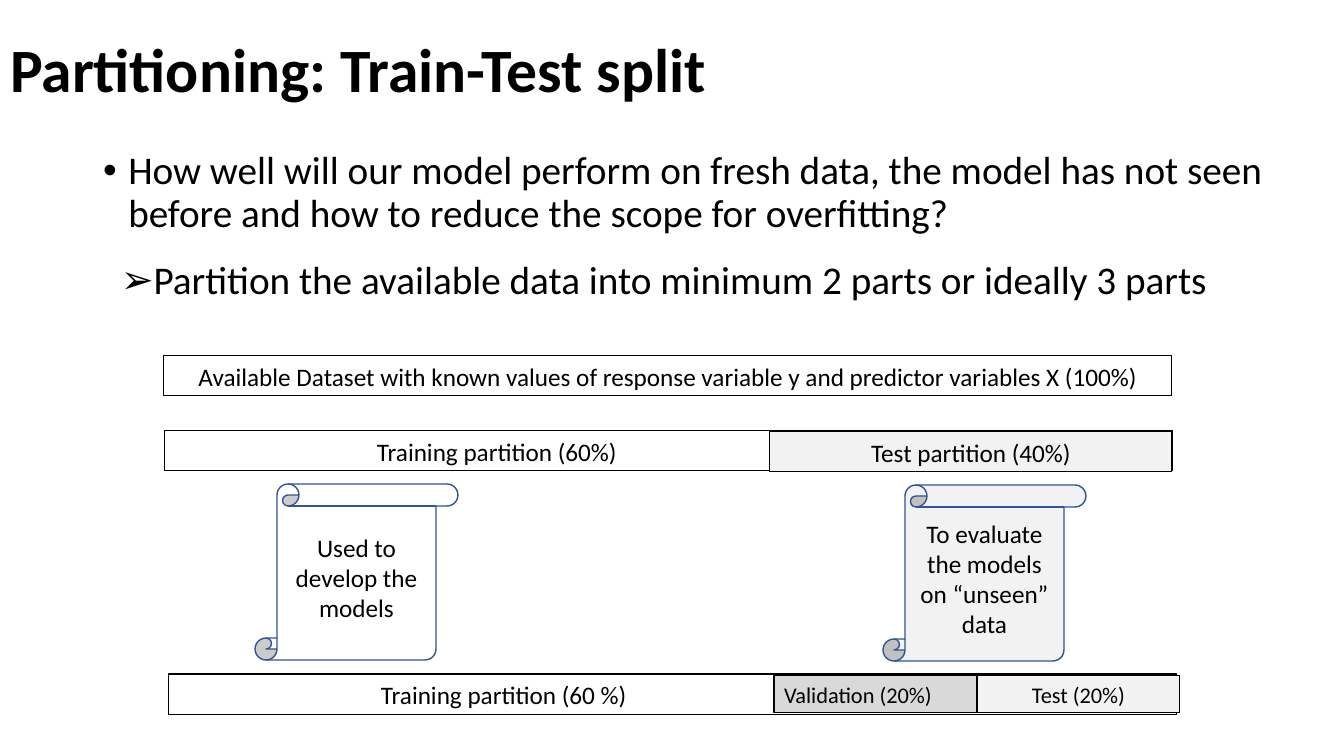
from lxml import etree
from pptx import Presentation
from pptx import util as u
from pptx.dml.color import RGBColor
from pptx.enum import shapes, text
from pptx.oxml import ns

FONT = "Calibri"
COLORS = {"black": "000000", "white": "FFFFFF", "light": "F2F2F2", "grey": "D9D9D9", "scroll": "325491"}
TITLE = ("Partitioning: Train-Test split", (0, 0, 1344, 146))
QUESTION = ("How well will our model perform on fresh data, the model has not seen before "
            "and how to reduce the scope for overfitting?", (93, 146, 1215, 110), "•")
ANSWER = ("Partition the available data into minimum 2 parts or ideally 3 parts", (111, 256, 1183, 65), "➢")
BARS = [
    ("Training partition (60%)", (165, 431, 1008, 40), None, 18, 212),
    ("Test partition (40%)", (770, 432, 402, 40), "light", 18, None),
    ("Available Dataset with known values of response variable y and predictor variables X (100%)",
     (164, 356, 1008, 40), None, 18, None),
    ("Training partition (60 %)", (169, 674, 1008, 41), None, 18, 212),
    ("Test (20%)", (977, 676, 203, 37), "light", 16, None),
    ("Validation (20%)", (774, 676, 203, 37), "grey", 16, 10),
]
SCROLLS = [
    ("Used to develop the models", (255, 484, 203, 176), "white"),
    ("To evaluate the models on “unseen” data", (883, 485, 203, 176), "light"),
]
PX = 914400 / 100.8


def px(n):
    return u.Emu(round(n * PX))


def rgb(name):
    return RGBColor.from_string(COLORS[name])


def place(sp, box):
    sp.left, sp.top, sp.width, sp.height = map(px, box)


def write(sp, words, size, align, anchor, bold=False):
    tf = sp.text_frame
    tf.word_wrap = True
    tf.auto_size = text.MSO_AUTO_SIZE.NONE
    tf.vertical_anchor = anchor
    p = tf.paragraphs[0]
    p.alignment = align
    r = p.add_run()
    r.text = words
    r.font.name, r.font.size, r.font.bold = FONT, u.Pt(size), bold
    r.font.color.rgb = rgb("black")
    return p


def write_bullet(sp, words, mark):
    p = write(sp, words, 28, text.PP_ALIGN.LEFT, text.MSO_ANCHOR.TOP)
    p.line_spacing, p.space_before = 0.9, u.Pt(10)
    pPr = p._p.get_or_add_pPr()
    pPr.set("marL", str(u.Inches(0.25)))
    pPr.set("indent", str(-u.Inches(0.25)))
    etree.SubElement(pPr, ns.qn("a:buFont")).set("typeface", "Arial")
    etree.SubElement(pPr, ns.qn("a:buChar")).set("char", mark)


def add_box(s, kind, box, fill, line, width):
    sp = s.shapes.add_shape(kind, *map(px, box))
    sp.shadow.inherit = False
    if fill:
        sp.fill.solid()
        sp.fill.fore_color.rgb = rgb(fill)
    else:
        sp.fill.background()
    sp.line.color.rgb = rgb(line)
    sp.line.width = u.Pt(width)
    return sp


def main():
    prs = Presentation()
    prs.slide_width, prs.slide_height = px(1344), px(756)
    s = prs.slides.add_slide(prs.slide_layouts[1])
    title, body = s.placeholders

    words, box = TITLE
    place(title, box)
    p = write(title, words, 44, text.PP_ALIGN.LEFT, text.MSO_ANCHOR.MIDDLE, True)
    p.line_spacing = 0.9

    words, box, mark = QUESTION
    place(body, box)
    write_bullet(body, words, mark)

    for words, box, fill, size, indent in BARS:
        sp = add_box(s, shapes.MSO_SHAPE.RECTANGLE, box, fill, "black", 0.75)
        align = text.PP_ALIGN.LEFT if indent else text.PP_ALIGN.CENTER
        write(sp, words, size, align, text.MSO_ANCHOR.TOP)
        if indent:
            sp.text_frame.margin_left = px(indent)

    for words, box, fill in SCROLLS:
        sp = add_box(s, shapes.MSO_SHAPE.VERTICAL_SCROLL, box, fill, "scroll", 1)
        write(sp, words, 18, text.PP_ALIGN.CENTER, text.MSO_ANCHOR.MIDDLE)

    words, box, mark = ANSWER
    write_bullet(s.shapes.add_textbox(*map(px, box)), words, mark)
    prs.save("out.pptx")


if __name__ == "__main__":
    main()
